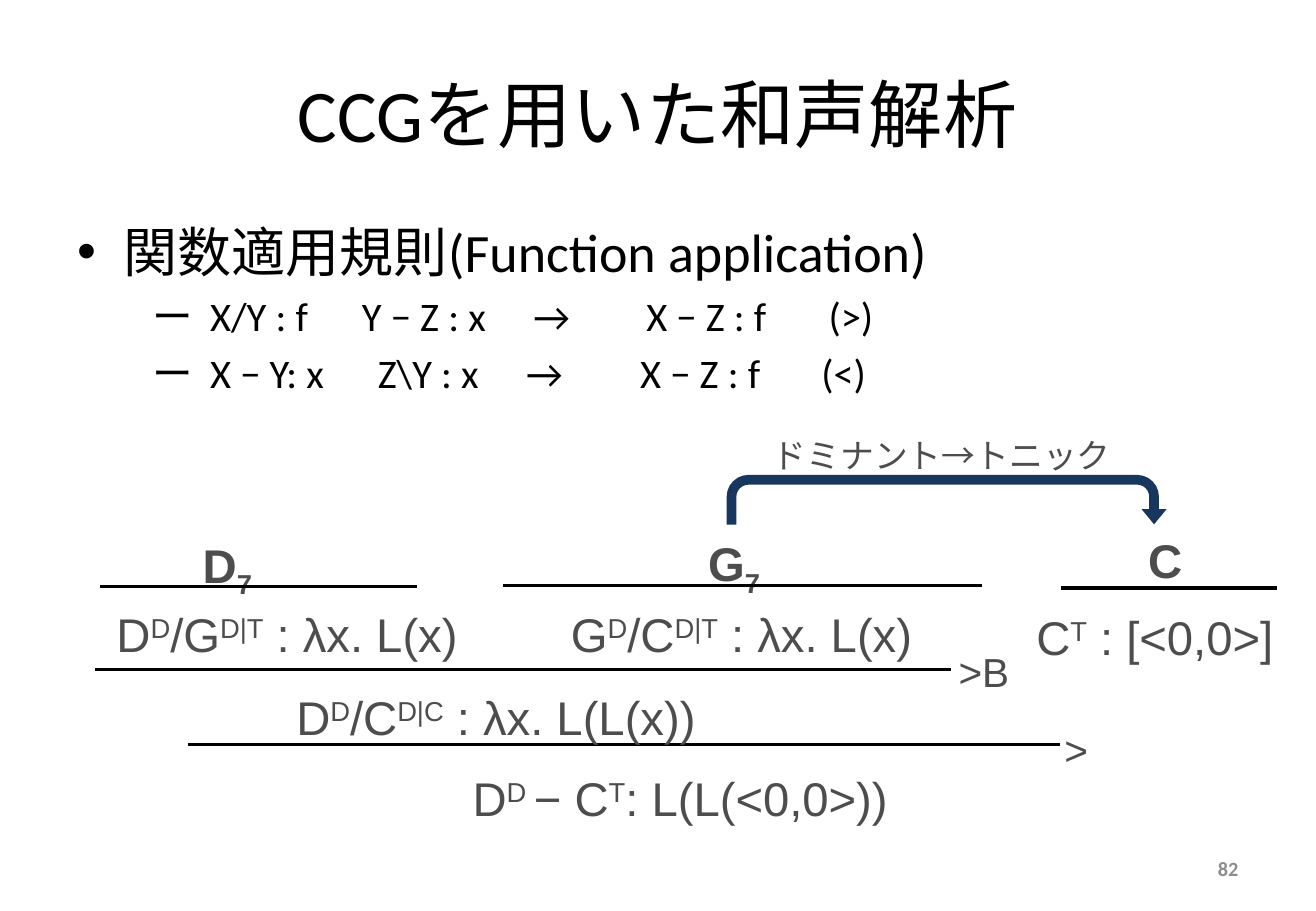
from lxml import etree
from pptx import Presentation
from pptx import util as u
from pptx.dml import color
from pptx.enum import shapes, text
from pptx.oxml import ns

HUES = {"ink": "000000", "gray": "4D4D4D", "page": "8C8C8C", "navy": "17375E"}
SIDE = 0.1
HEADS = [(1.57, 4.15, "D_7"), (5.73, 4.14, "G_7"), (9.35, 4.14, "C")]
STEPS = [
    (0.86, 4.75, 3.08, "D^D^/G^D|T^ : λx. L(x)"),
    (4.6, 4.75, 3.08, "G^D^/C^D|T^ : λx. L(x)"),
    (8.43, 4.77, 2.4, "C^T^ : [<0,0>]"),
    (2.34, 5.43, 4.74, "D^D^/C^D|C^ : λx. L(L(x))"),
    (3.79, 6.1, 4.11, "D^D ^− C^T^: L(L(<0,0>))"),
]
MARKS = [(7.79, 5.12, 1.12, ">B"), (8.66, 5.76, 0.69, ">")]
BARS = [(0.82, 3.43, 4.83), (4.14, 8.08, 4.82), (8.73, 10.51, 4.84),
        (0.78, 7.83, 5.51), (1.55, 8.72, 6.13)]
RULES = [
    (["ー", "X/Y : f", "Y − Z : x", "→", "X − Z : f", "(>)"],
     [0.62, 1.09, 2.34, 3.75, 4.68, 6.18]),
    (["ー", "X − Y: x", "Z\\Y : x", "→", "X − Z : f", "(<)"],
     [0.62, 1.09, 2.47, 3.69, 4.63, 6.12]),
]


def add_box(slide, left, top, width, height, mid=False):
    """Add a wrapping text box and return its text frame."""
    box = slide.shapes.add_textbox(*map(u.Inches, (left, top, width, height)))
    frame = box.text_frame
    frame.word_wrap = True
    if mid:
        frame.vertical_anchor = text.MSO_ANCHOR.MIDDLE
    return frame


def add_run(para, words, size, hue="ink", face="Calibri", bold=False, base=0):
    """Add one run, raised or lowered by a base in percent."""
    run = para.add_run()
    run.text = words
    font = run.font
    font.size, font.name, font.bold = u.Pt(size), face, bold
    font.color.rgb = color.RGBColor.from_string(HUES[hue])
    if base:
        run._r.get_or_add_rPr().set("baseline", str(base * 1000))


def add_term(slide, left, top, width, words, size=28, bold=False):
    """Add a formula, with ^ around raised and _ before lowered parts."""
    para = add_box(slide, left, top, width, size * 0.026).paragraphs[0]
    para.line_spacing = 1.4
    sign, base = ("_", -25) if "_" in words else ("^", 30)
    for rank, part in enumerate(words.split(sign)):
        if part:
            add_run(para, part, size, "gray", "Arial", bold, base * (rank % 2))


def add_bar(slide, start, end, top):
    """Add a level line of a derivation."""
    line = slide.shapes.add_connector(
        shapes.MSO_CONNECTOR.STRAIGHT,
        *map(u.Inches, (start, top, end, top)))
    line.line.width = u.Pt(2)
    line.line.color.rgb = color.RGBColor.from_string(HUES["ink"])
    etree.SubElement(line._element.spPr, ns.qn("a:effectLst"))


def add_arrow(slide):
    """Add the bent arrow from dominant to tonic."""
    arrow = slide.shapes.add_shape(
        shapes.MSO_SHAPE.U_TURN_ARROW,
        *map(u.Inches, (5.98, 3.91, 3.62, 0.41)))
    for rank, value in enumerate((0.196, 0.25, 0.304, 0.438, 0.993)):
        arrow.adjustments[rank] = value
    arrow.fill.solid()
    arrow.fill.fore_color.rgb = color.RGBColor.from_string(HUES["navy"])
    arrow.line.fill.background()
    arrow.shadow.inherit = False


def add_rules(slide):
    """Add the bullet and the two rules set on tab stops."""
    frame = add_box(slide, 0.54, 1.75, 9.75, 4.95)
    para = frame.paragraphs[0]
    props = para._p.get_or_add_pPr()
    props.set("marL", str(u.Inches(0.38)))
    props.set("indent", str(-u.Inches(0.38)))
    etree.SubElement(props, ns.qn("a:buFont"), typeface="Arial")
    etree.SubElement(props, ns.qn("a:buChar"), char="•")
    add_run(para, "関数適用規則(Function application)", 32)
    for parts, stops in RULES:
        para = frame.add_paragraph()
        tabs = etree.SubElement(para._p.get_or_add_pPr(), ns.qn("a:tabLst"))
        for stop in stops:
            etree.SubElement(tabs, ns.qn("a:tab"),
                             pos=str(u.Inches(stop)), algn="l")
        para.space_before = u.Pt(4.8)
        for part in parts:
            add_run(para, "\t" + part, 24)


def main():
    """Build the slide and save it."""
    deck = Presentation()
    deck.slide_width, deck.slide_height = u.Inches(10.83), u.Inches(7.5)
    slide = deck.slides.add_slide(deck.slide_layouts[6])
    title = add_box(slide, 0.54, 0.3, 9.75, 1.25, True).paragraphs[0]
    title.alignment = text.PP_ALIGN.CENTER
    add_run(title, "CCGを用いた和声解析", 44)
    add_rules(slide)
    page = add_box(slide, 7.76, 6.95, 2.53, 0.4, True).paragraphs[0]
    page.alignment = text.PP_ALIGN.RIGHT
    add_run(page, "82", 12, "page", bold=True)
    for left, top, words in HEADS:
        add_term(slide, left, top, 1.21, words, bold=True)
    for bar in BARS:
        add_bar(slide, *bar)
    for step in STEPS:
        add_term(slide, *step)
    for mark in MARKS:
        add_term(slide, *mark, size=24)
    add_arrow(slide)
    add_term(slide, 6.26, 3.4, 3.29, "ドミナント→トニック", 20)
    deck.save("out.pptx")


if __name__ == "__main__":
    main()
